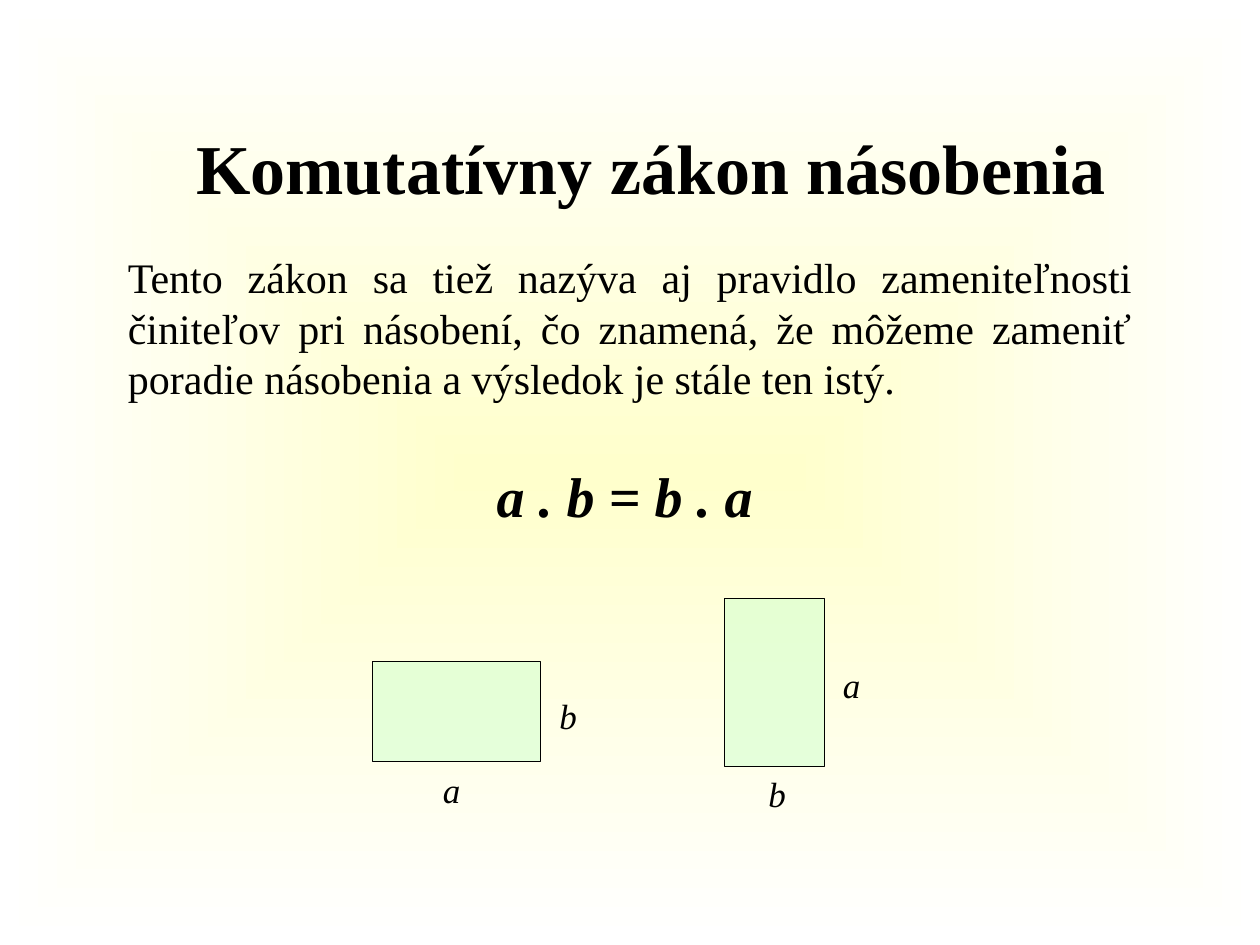
import dataclasses
import pptx
import pptx.util
import pptx.dml.color
import pptx.enum.shapes
import pptx.enum.text
import pptx.oxml.ns
import lxml.etree

ALIGN = pptx.enum.text.PP_ALIGN


@dataclasses.dataclass(frozen=True)
class Theme:
    """Colours, font and type sizes."""
    font: str = "Times New Roman"
    ink: str = "000000"
    inner: str = "FFFFCC"
    outer: str = "FFFFFF"
    green: str = "CCFFCC"
    title: int = 40
    law: int = 32
    body: int = 24
    label: int = 20


class Page:
    """One slide on a grid of 120 columns by 90 rows."""

    def __init__(self, deck, theme):
        self.theme = theme
        self.slide = deck.slides.add_slide(deck.slide_layouts[5])
        self.col = deck.slide_width / 120
        self.row = deck.slide_height / 90

    def grid(self, x, y, w, h):
        return [round(n) for n in
                (x * self.col, y * self.row, w * self.col, h * self.row)]

    def tint(self, code):
        return pptx.dml.color.RGBColor.from_string(code)

    def tag(self, parent, name, **attrs):
        return lxml.etree.SubElement(parent, pptx.oxml.ns.qn(name), attrs)

    def glow(self):
        fill = self.slide.background.fill
        fill.gradient()
        codes = self.theme.inner, self.theme.outer
        for stop, code, spot in zip(fill.gradient_stops, codes, (0, 1)):
            stop.color.rgb = self.tint(code)
            stop.position = spot
        grad = next(self.slide.element.iter(pptx.oxml.ns.qn("a:gradFill")))
        grad.remove(grad.find(pptx.oxml.ns.qn("a:lin")))
        rect = self.tag(grad, "a:path", path="rect")
        self.tag(rect, "a:fillToRect", l="50000", t="50000", r="50000", b="50000")

    def put(self, frame, words, size, align, bold=False, italic=False):
        para = frame.paragraphs[0]
        para.alignment = align
        run = para.add_run()
        run.text = words
        font = run.font
        font.name, font.size = self.theme.font, pptx.util.Pt(size)
        font.bold, font.italic = bold, italic
        font.color.rgb = self.tint(self.theme.ink)

    def title(self, words, *area):
        box = self.slide.shapes.title
        box.left, box.top, box.width, box.height = self.grid(*area)
        box.text_frame.vertical_anchor = pptx.enum.text.MSO_ANCHOR.MIDDLE
        self.put(box.text_frame, words, self.theme.title, ALIGN.CENTER, bold=True)

    def text(self, words, size, align, *area, wrap=True, **style):
        frame = self.slide.shapes.add_textbox(*self.grid(*area)).text_frame
        frame.word_wrap = wrap
        frame.auto_size = pptx.enum.text.MSO_AUTO_SIZE.SHAPE_TO_FIT_TEXT
        self.put(frame, words, size, align, **style)

    def label(self, words, x, y):
        self.text(words, self.theme.label, ALIGN.LEFT, x, y, 4.1, 5.3,
                  wrap=False, italic=True)

    def block(self, *area):
        kind = pptx.enum.shapes.MSO_SHAPE.RECTANGLE
        box = self.slide.shapes.add_shape(kind, *self.grid(*area))
        box.shadow.inherit = False
        box.fill.solid()
        box.fill.fore_color.rgb = self.tint(self.theme.green)
        color = next(box.element.spPr.iter(pptx.oxml.ns.qn("a:srgbClr")))
        self.tag(color, "a:alpha", val="50000")
        box.line.color.rgb = self.tint(self.theme.ink)
        box.line.width = pptx.util.Pt(0.75)


def main():
    deck = pptx.Presentation()
    deck.slide_width = pptx.util.Inches(10)
    deck.slide_height = pptx.util.Inches(7.5)
    theme = Theme()
    page = Page(deck, theme)
    page.glow()
    page.title("Komutatívny zákon násobenia", 11, 8.4, 102, 15)
    page.text("Tento zákon sa tiež nazýva aj pravidlo zameniteľnosti "
              "činiteľov pri násobení, čo znamená, že môžeme zameniť "
              "poradie násobenia a výsledok je stále ten istý.",
              theme.body, ALIGN.JUSTIFY, 11, 23.4, 98, 15.6)
    page.text("a . b = b . a", theme.law, ALIGN.CENTER,
              34, 43.4, 51, 7.7, bold=True, italic=True)
    long, short = 16, 9.5
    page.block(35.5, 63, long, short)
    page.block(69, 57, short, long)
    for words, x, y in (("a", 41, 72.6), ("b", 52.1, 65.6),
                        ("b", 72, 73), ("a", 79.1, 62.6)):
        page.label(words, x, y)
    deck.save("out.pptx")


if __name__ == "__main__":
    main()
